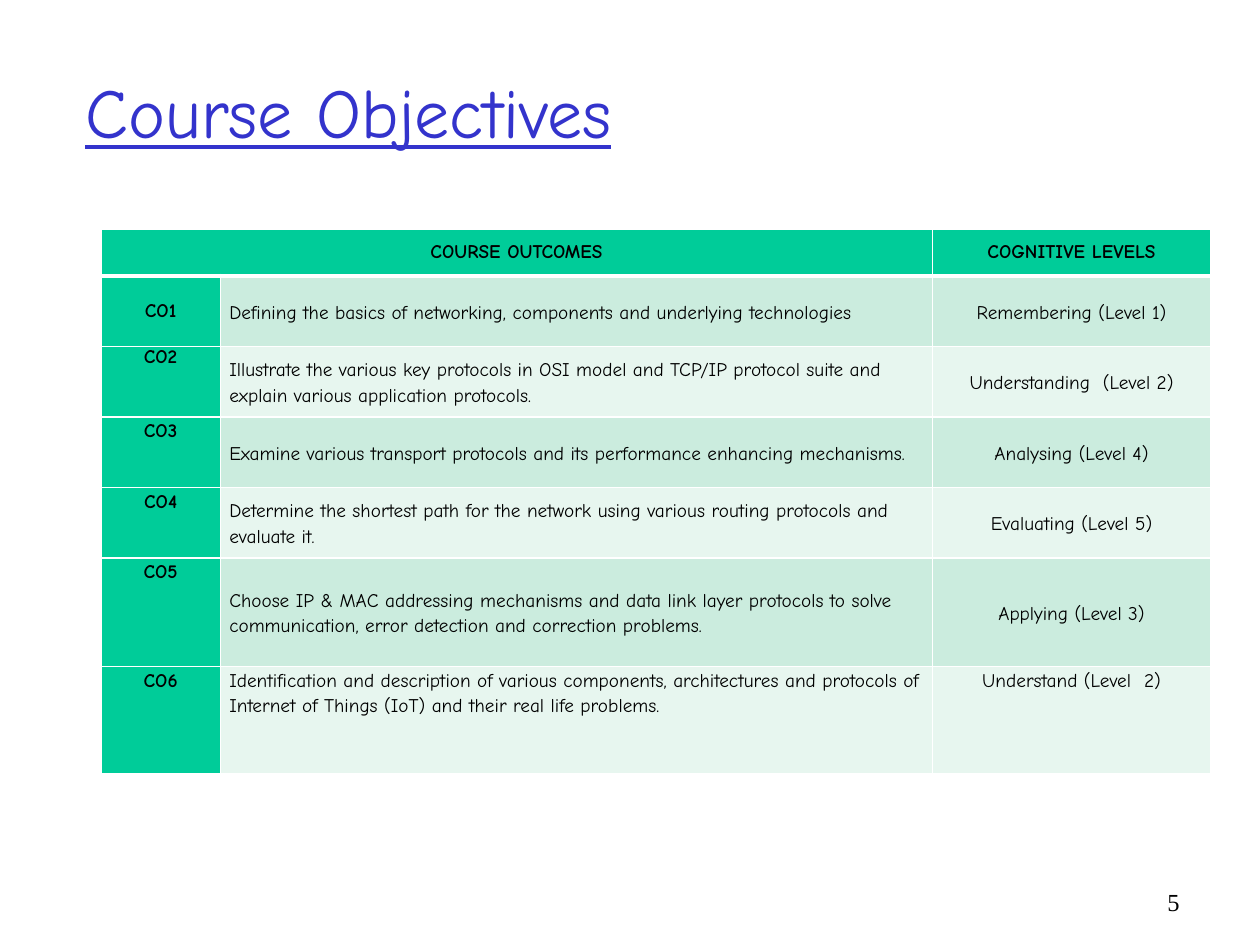
import pptx
import pptx.dml.color
import pptx.enum.text
import pptx.oxml
import pptx.util
from lxml import etree

Inches, Pt = pptx.util.Inches, pptx.util.Pt
ALIGN, ANCHOR = pptx.enum.text.PP_ALIGN, pptx.enum.text.MSO_ANCHOR
RGB = pptx.dml.color.RGBColor.from_string
COLORS = {"title": "3333CC", "ink": "000000", "header": "00CC99",
          "odd": "CBECDE", "even": "E7F6EF", "border": "FFFFFF"}
FONT = "Comic Neue"

COLUMNS = [0.95, 5.65, 2.21]
ROWS = [0.37, 0.56, 0.56, 0.56, 0.56, 0.86, 0.85]
OUTCOMES = [
    ("Defining the basics of networking, components and underlying technologies",
     "Remembering (Level 1)"),
    ("Illustrate the various key protocols in OSI model and TCP/IP protocol suite "
     "and explain various application protocols.", "Understanding  (Level 2)"),
    ("Examine various transport protocols and its performance enhancing mechanisms.",
     "Analysing (Level 4)"),
    ("Determine the shortest path for the network using various routing protocols "
     "and evaluate it.", "Evaluating (Level 5)"),
    ("Choose IP & MAC addressing mechanisms and data link layer protocols to solve "
     "communication, error detection and correction problems.", "Applying (Level 3)"),
    ("Identification and description of various components, architectures and "
     "protocols of Internet of Things (IoT) and their real life problems.",
     "Understand (Level  2)"),
]


def write(frame, text, font, size, color, align=ALIGN.LEFT):
    frame.text = text
    frame.word_wrap = True
    para = frame.paragraphs[0]
    para.alignment = align
    span = para.runs[0]
    span.font.name, span.font.size = font, Pt(size)
    span.font.color.rgb = RGB(color)
    return para


def add_border(cell, side, width):
    """Draw one edge of a cell; side is L, R, T or B. Call before setting the fill."""
    ns = pptx.oxml.ns.qn
    line = etree.SubElement(cell._tc.get_or_add_tcPr(), ns("a:ln" + side), w=str(Pt(width)))
    fill = etree.SubElement(line, ns("a:solidFill"))
    etree.SubElement(fill, ns("a:srgbClr"), val=COLORS["border"])


deck = pptx.Presentation()
deck.slide_width, deck.slide_height = Inches(10), Inches(7.5)
page = deck.slides.add_slide(deck.slide_layouts[6])

title = page.shapes.add_textbox(Inches(0.58), Inches(0.25), Inches(8.5), Inches(1.25))
title.text_frame.vertical_anchor = ANCHOR.MIDDLE
heading = write(title.text_frame, "Course Objectives", FONT, 40, COLORS["title"])
heading.runs[0].font.underline = True

table = page.shapes.add_table(len(ROWS), len(COLUMNS), Inches(0.8), Inches(1.82),
                              Inches(sum(COLUMNS)), Inches(sum(ROWS))).table
for column, width in zip(table.columns, COLUMNS):
    column.width = Inches(width)
for row, height in zip(table.rows, ROWS):
    row.height = Inches(height)
table.cell(0, 0).merge(table.cell(0, 1))

contents = [("COURSE OUTCOMES", "", "COGNITIVE LEVELS")]
contents += [(f"CO{n}", *outcome) for n, outcome in enumerate(OUTCOMES, 1)]
last = len(ROWS) - 1
for r, texts in enumerate(contents):
    for c, text in enumerate(texts):
        cell = table.cell(r, c)
        cell.margin_left = cell.margin_right = Inches(0.07)
        cell.margin_top = cell.margin_bottom = 0
        at_top = r == last or (c == 0 and r > 1)
        cell.vertical_anchor = ANCHOR.TOP if at_top else ANCHOR.MIDDLE
        for side in "LRTB":
            under_header = (r, side) in ((0, "B"), (1, "T"))
            add_border(cell, side, 3 if under_header else 1)
        is_heading = r == 0 or c == 0
        shade = "header" if is_heading else "odd" if r % 2 else "even"
        cell.fill.solid()
        cell.fill.fore_color.rgb = RGB(COLORS[shade])
        if text:
            align = ALIGN.LEFT if c == 1 else ALIGN.CENTER
            para = write(cell.text_frame, text, FONT, 11, COLORS["ink"], align)
            para.runs[0].font.bold = is_heading
            if not is_heading or r > 2:
                para.line_spacing = 1.15

number = page.shapes.add_textbox(Inches(8.78), Inches(6.99), Inches(0.68), Inches(0.5))
write(number.text_frame, "5", "Times New Roman", 14, COLORS["ink"], ALIGN.RIGHT)

deck.save("out.pptx")
